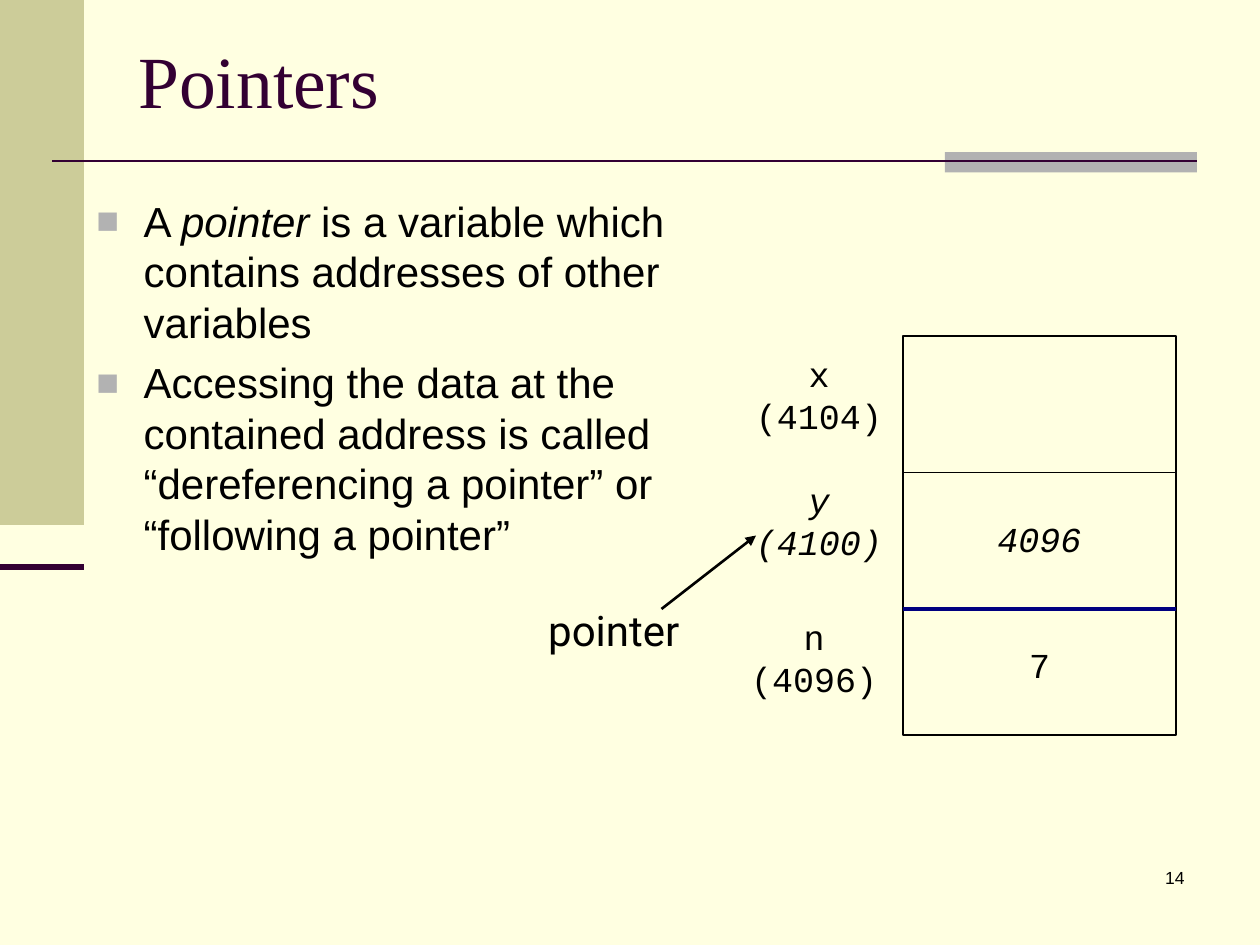
from lxml import etree
from pptx import Presentation
from pptx import util as u
from pptx.dml.color import RGBColor
from pptx.enum import shapes, text
from pptx.oxml.ns import qn

PLUM, BLACK, NAVY, GRAY = "330033", "000000", "000080", "B2B2B2"
MONO = "Courier New"
LEFT, MID, RIGHT = text.PP_ALIGN.LEFT, text.PP_ALIGN.CENTER, text.PP_ALIGN.RIGHT


def color(code):
    """Turn a hex string into a colour."""
    return RGBColor.from_string(code)


def rect(slide, box, fill=None, line=None):
    """Add a plain rectangle."""
    shape = slide.shapes.add_shape(shapes.MSO_SHAPE.RECTANGLE, *map(u.Pt, box))
    shape.shadow.inherit = False
    if fill:
        shape.fill.solid()
        shape.fill.fore_color.rgb = color(fill)
    else:
        shape.fill.background()
    if line:
        shape.line.color.rgb = color(line)
        shape.line.width = u.Pt(1)
    else:
        shape.line.fill.background()
    return shape


def rule(slide, start, end, ink, width, arrow=False):
    """Add a straight line, with an arrowhead at its end if asked."""
    line = slide.shapes.add_connector(
        shapes.MSO_CONNECTOR.STRAIGHT, *map(u.Pt, start + end))
    line.line.color.rgb = color(ink)
    line.line.width = u.Pt(width)
    if arrow:
        etree.SubElement(line.line._get_or_add_ln(), qn("a:tailEnd"), type="triangle")
    etree.SubElement(line._element.spPr, qn("a:effectLst"))


def style(font, name, size, ink=BLACK, italic=False):
    """Set the look of a font."""
    font.name, font.size, font.italic = name, u.Pt(size), italic
    font.color.rgb = color(ink)


def label(slide, box, words, name, size, ink=BLACK, align=MID, italic=False,
          wrap=True, anchor=text.MSO_ANCHOR.TOP):
    """Add a text box in a single style."""
    frame = slide.shapes.add_textbox(*map(u.Pt, box)).text_frame
    frame.word_wrap = wrap
    frame.vertical_anchor = anchor
    frame.text = words
    para = frame.paragraphs[0]
    para.alignment = align
    for run in para.runs:
        style(run.font, name, size, ink, italic)


def bullet(para):
    """Give a paragraph a hanging square bullet."""
    props = para._p.get_or_add_pPr()
    props.set("marL", str(u.Pt(27)))
    props.set("indent", str(-u.Pt(27)))
    tint = etree.SubElement(props, qn("a:buClr"))
    etree.SubElement(tint, qn("a:srgbClr"), val=GRAY)
    etree.SubElement(props, qn("a:buSzPct"), val="90000")
    etree.SubElement(props, qn("a:buFont"), typeface="Arial")
    etree.SubElement(props, qn("a:buChar"), char="■")


def decor(slide, box):
    """Draw the side band and the rules."""
    x, y, w, h = box
    rect(slide, (x, y, 48, 300), "CCCC99")
    rect(slide, (x + 540, y + 87, 144, 11.5), GRAY)
    rule(slide, (x + 30, y + 92), (x + w - 36, y + 92), PLUM, 1.5)
    rule(slide, (x, y + 324), (x + 48, y + 324), PLUM, 3.5)


def body(slide, box, items):
    """Write bulleted paragraphs made of (words, italic) runs."""
    frame = slide.shapes.add_textbox(*map(u.Pt, box)).text_frame
    frame.word_wrap = True
    for i, item in enumerate(items):
        para = frame.add_paragraph() if i else frame.paragraphs[0]
        para.space_before = u.Pt(6 if i else 0)
        bullet(para)
        for words, italic in item:
            run = para.add_run()
            run.text = words
            style(run.font, "Arial", 24, italic=italic)


def memory(slide, box, cells):
    """Draw the memory column with an address beside each cell."""
    x, y, w, h = box
    side = 96
    rect(slide, (x + side, y, w - side, h), line=BLACK)
    for name, top, width, value, drop, italic in cells:
        label(slide, (x, y + top, width, 55.5), name, MONO, 20, italic=italic)
        if value:
            wide = 14.5 + 12 * len(value)
            left = x + side + (w - side - wide) / 2
            label(slide, (left, y + drop, wide, 31.5), value, MONO, 20,
                  italic=italic, wrap=False)
    for drop, ink, width in ((156, NAVY, 2.5), (78, BLACK, 1)):
        rule(slide, (x + side, y + drop), (x + w, y + drop), ink, width)


def callout(slide, box):
    """Place the pointer caption and its arrow."""
    x, y, w, h = box
    rule(slide, (x + 75.5, y + 42), (x + w, y), BLACK, 1.5, True)
    label(slide, (x, y + 36, 96.5, 36), "pointer", "Roboto", 24, wrap=False)


def main():
    """Build and save the slide."""
    deck = Presentation()
    deck.slide_width, deck.slide_height = u.Pt(720), u.Pt(540)
    slide = deck.slides.add_slide(deck.slide_layouts[6])
    slide.background.fill.solid()
    slide.background.fill.fore_color.rgb = color("FFFFE1")
    decor(slide, (0, 0, 720, 540))
    label(slide, (72, 0, 612, 90), "Pointers", "Times New Roman", 42, PLUM, LEFT,
          anchor=text.MSO_ANCHOR.MIDDLE)
    body(slide, (48, 108, 342, 378), [
        [("A ", False), ("pointer", True),
         (" is a variable which contains addresses of other variables", False)],
        [("Accessing the data at the contained address is called "
          "“dereferencing a pointer” or “following a pointer”", False)],
    ])
    memory(slide, (420, 192, 252, 228), [
        ("x\v(4104)", 6, 96, "", 0, False),
        ("y\v(4100)", 78, 96, "4096", 100, True),
        ("n\v(4096)", 156, 90.5, "7", 172, False),
    ])
    callout(slide, (302.5, 306, 129.5, 72))
    label(slide, (534, 492, 150, 36), "14", "Arial", 10, align=RIGHT)
    deck.save("out.pptx")


if __name__ == "__main__":
    main()
